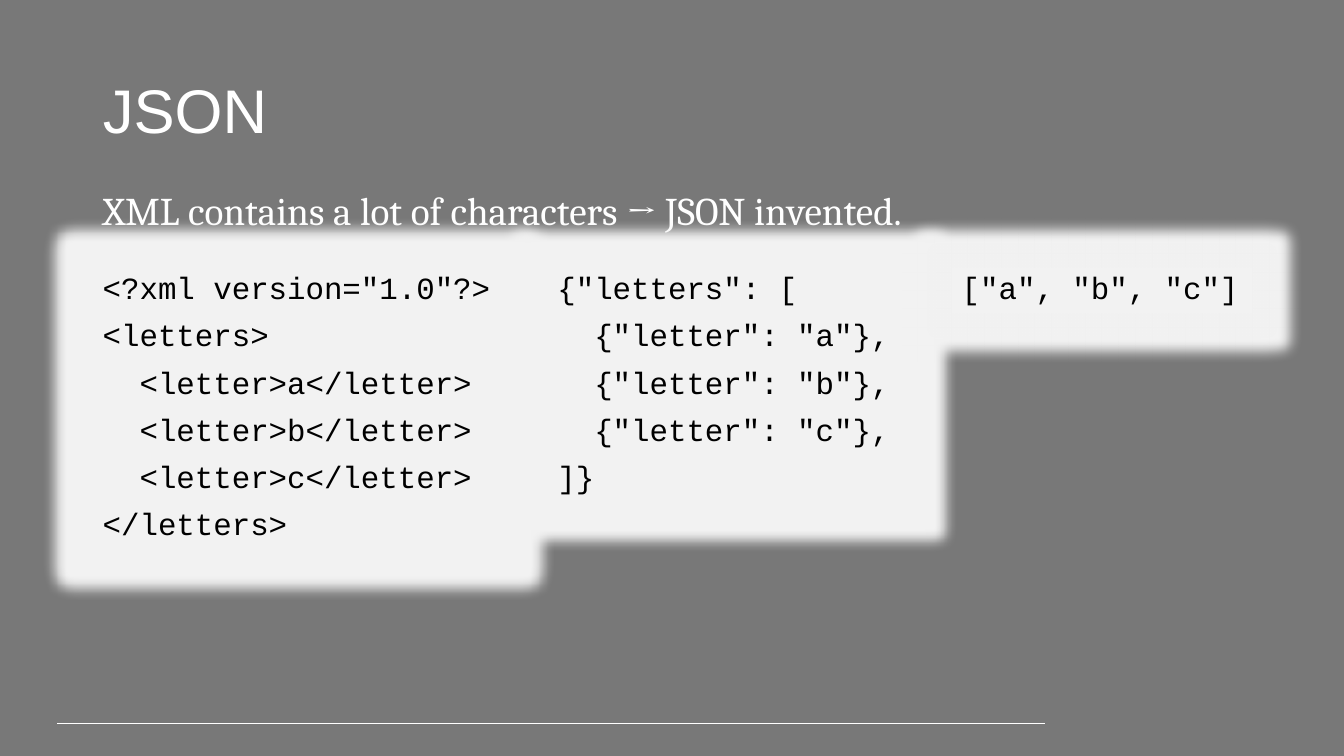
from dataclasses import dataclass
from lxml.etree import SubElement as Sub
from pptx import Presentation
from pptx.dml.color import RGBColor as Rgb
from pptx.enum.shapes import MSO_CONNECTOR as Link, MSO_SHAPE as Kind
from pptx.enum.text import MSO_ANCHOR as Anchor, MSO_AUTO_SIZE as Auto, PP_ALIGN as Align
from pptx.oxml.ns import qn
from pptx.util import Inches, Pt

HUE = {"back": "787878", "white": "FFFFFF", "card": "F2F2F2", "code": "000000"}
LEFT, TOP, GAP = 0.92, 2.66, 0.43
ROW, TRIM = 0.47, 0.02
GLOW = 0.25


@dataclass(frozen=True)
class Style:
    font: str
    size: int
    hue: str
    before: int = 10


@dataclass(frozen=True)
class Card:
    width: float
    lines: tuple[str, ...]


HEAD = Style("Arial", 44, "white", 0)
LEAD = Style("Cambria", 28, "white")
CODE = Style("Courier New", 22, "code")

CARDS = (
    Card(4.08, (
        '<?xml version="1.0"?>',
        "<letters>",
        *(f"  <letter>{c}</letter>" for c in "abc"),
        "</letters>",
    )),
    Card(3.58, (
        '{"letters": [',
        *(f'  {{"letter": "{c}"}},' for c in "abc"),
        "]}",
    )),
    Card(2.98, ('["a", "b", "c"]',)),
)


def tint(name: str) -> Rgb:
    return Rgb.from_string(HUE[name])


def place(shape, x: float, y: float, w: float, h: float) -> None:
    shape.left, shape.top, shape.width, shape.height = map(Inches, (x, y, w, h))


def write(shape, lines: tuple[str, ...], style: Style, anchor=Anchor.TOP, auto=Auto.SHAPE_TO_FIT_TEXT) -> None:
    frame = shape.text_frame
    frame.word_wrap = True
    frame.auto_size = auto
    frame.vertical_anchor = anchor
    for i, line in enumerate(lines):
        para = frame.add_paragraph() if i else frame.paragraphs[0]
        para.alignment = Align.LEFT
        para.line_spacing = 0.9
        para.space_before = Pt(style.before)
        run = para.add_run()
        run.text = line
        run.font.name = style.font
        run.font.size = Pt(style.size)
        run.font.color.rgb = tint(style.hue)


def draw(slide, card: Card, x: float) -> None:
    high = ROW * len(card.lines) - TRIM
    box = slide.shapes.add_shape(Kind.RECTANGLE, *map(Inches, (x, TOP, card.width, high)))
    box.fill.solid()
    box.fill.fore_color.rgb = tint("card")
    box.line.fill.background()
    box.shadow.inherit = False
    list_ = box._element.spPr.find(qn("a:effectLst"))
    glow = Sub(list_, qn("a:glow"), rad=str(Inches(GLOW)))
    Sub(glow, qn("a:srgbClr"), val=HUE["card"])
    write(box, card.lines, CODE)


def rule(slide, x: float, end: float, y: float) -> None:
    line = slide.shapes.add_connector(Link.STRAIGHT, *map(Inches, (x, y, end, y)))
    line.line.color.rgb = tint("white")
    line.line.width = Pt(0.75)
    Sub(line._element.spPr, qn("a:effectLst"))


deck = Presentation()
deck.slide_width, deck.slide_height = Inches(13.33), Inches(7.5)
slide = deck.slides.add_slide(deck.slide_layouts[5])
slide.background.fill.solid()
slide.background.fill.fore_color.rgb = tint("back")

rule(slide, 0.57, 10.36, 7.18)
title = slide.shapes.title
place(title, LEFT, 0.4, 11.5, 1.45)
write(title, ("JSON",), HEAD, Anchor.MIDDLE, Auto.NONE)

lead = slide.shapes.add_textbox(*map(Inches, (LEFT, 1.85, 12.12, 0.53)))
write(lead, ("XML contains a lot of characters → JSON invented.",), LEAD)

x = LEFT
for card in CARDS:
    draw(slide, card, x)
    x += card.width + GAP

deck.save("out.pptx")
